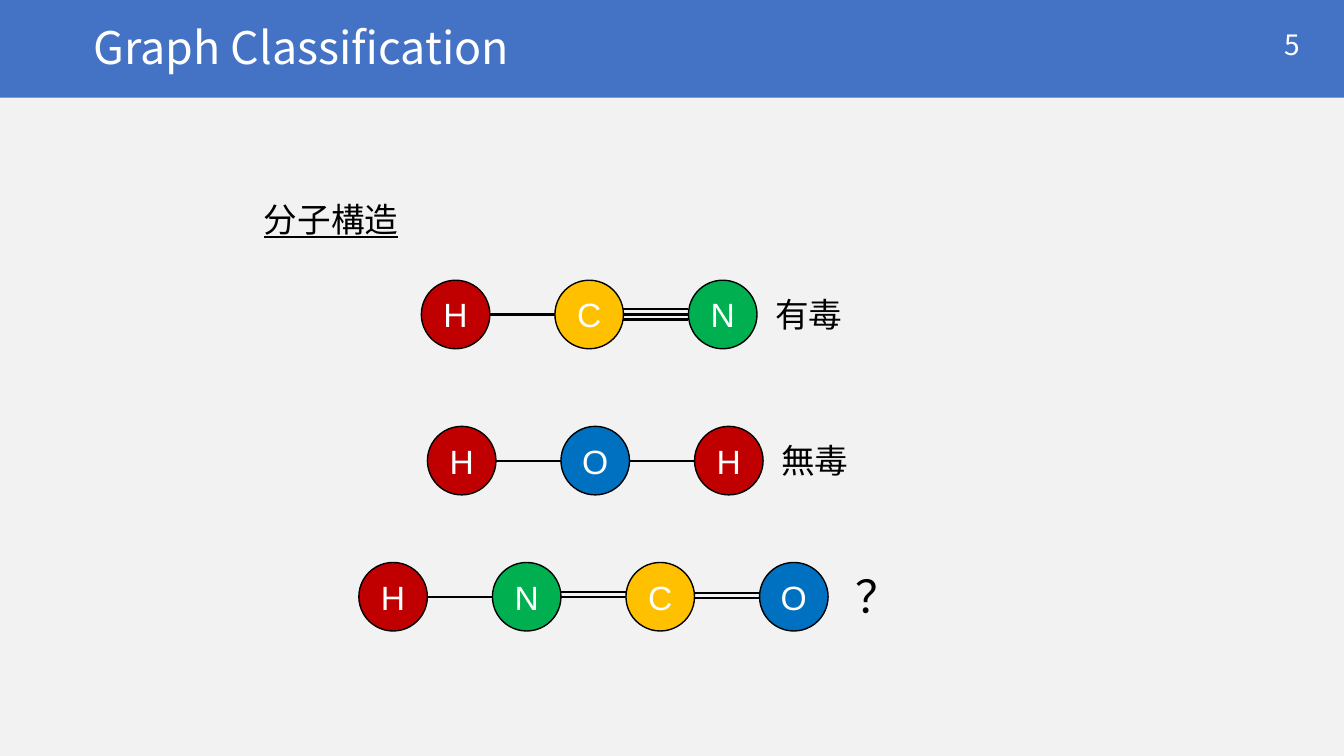
from lxml import etree
from pptx import Presentation
from pptx import util as u
from pptx.dml.color import RGBColor
from pptx.enum import shapes, text
from pptx.oxml.ns import qn

CELL = u.Inches(0.1)
COLUMNS, ROWS = 133.33, 75
ATOM, PITCH = 6.8, 13.25
GOTHIC = "Noto Sans CJK JP"
COLORS = {
    "page": "F2F2F2", "band": "4472C4", "light": "FFFFFF", "ink": "000000",
    "H": "C00000", "C": "FFC000", "N": "00B050", "O": "0070C0",
}
SINGLE, TRIPLE = (0,), (-0.5, 0, 0.5)
MOLECULES = [
    (41.8, 27.8, "HCN", (SINGLE, TRIPLE)),
    (42.4, 42.3, "HOH", (SINGLE, SINGLE)),
    (35.6, 55.8, "HNCO", (SINGLE, (-0.5, 0), (-0.4, 0.1))),
]
LABELS = [
    (25.2, 19.2, 15.5, 5, "分子構造", 24, "Arial", True),
    (75.9, 28.7, 8.8, 5, "有毒", 24, "Calibri", False),
    (76.5, 43.2, 8.8, 5, "無毒", 24, "Calibri", False),
    (83.9, 55.9, 6.5, 6.4, "？", 32, "Calibri", False),
]


def grid(*cells):
    return [round(cell * CELL) for cell in cells]


def color(name):
    return RGBColor.from_string(COLORS[name])


def add_span(para, words, size, font, ink):
    span = para.add_run()
    span.text = words
    span.font.size = u.Pt(size)
    span.font.name = font
    span.font.color.rgb = color(ink)
    return span


def add_solid(page, kind, area, fill):
    shape = page.shapes.add_shape(kind, *grid(*area))
    shape.shadow.inherit = False
    shape.fill.solid()
    shape.fill.fore_color.rgb = color(fill)
    shape.line.fill.background()
    return shape


def add_label(page, area, words, size, font, ink="ink",
              anchor=text.MSO_ANCHOR.TOP, align=text.PP_ALIGN.LEFT):
    box = page.shapes.add_textbox(*grid(*area))
    box.text_frame.word_wrap = True
    box.text_frame.vertical_anchor = anchor
    para = box.text_frame.paragraphs[0]
    para.alignment = align
    return para, add_span(para, words, size, font, ink)


def add_atom(page, left, top, symbol):
    atom = add_solid(page, shapes.MSO_SHAPE.OVAL, (left, top, ATOM, ATOM), symbol)
    atom.line.color.rgb = color("ink")
    atom.line.width = u.Pt(1)
    atom.text_frame.vertical_anchor = text.MSO_ANCHOR.MIDDLE
    para = atom.text_frame.paragraphs[0]
    para.alignment = text.PP_ALIGN.CENTER
    add_span(para, symbol, 24, "Arial", "light")


def add_bond(page, left, middle, offsets):
    for offset in offsets:
        y = middle + offset
        bond = page.shapes.add_connector(
            shapes.MSO_CONNECTOR.STRAIGHT, *grid(left, y, left + PITCH - ATOM, y))
        bond.line.color.rgb = color("ink")
        bond.line.width = u.Pt(1.5)
        etree.SubElement(bond._element.spPr, qn("a:effectLst"))


def add_molecule(page, left, top, symbols, bonds):
    for place, offsets in enumerate(bonds):
        add_bond(page, left + place * PITCH + ATOM, top + ATOM / 2, offsets)
    for place, symbol in enumerate(symbols):
        add_atom(page, left + place * PITCH, top, symbol)


def add_header(page):
    add_solid(page, shapes.MSO_SHAPE.RECTANGLE, (0, 0, COLUMNS, 9.7), "band")
    middle = text.MSO_ANCHOR.MIDDLE
    title, _ = add_label(page, (8.3, 1.9, 100.2, 6.2), "Graph Classification",
                         32, GOTHIC, "light", middle)
    title.line_spacing = 0.9
    title.space_before = u.Pt(10)
    add_label(page, (113.6, 2.4, 16.4, 4), "5", 20, GOTHIC, "light",
              middle, text.PP_ALIGN.RIGHT)


def main():
    deck = Presentation()
    deck.slide_width, deck.slide_height = grid(COLUMNS, ROWS)
    page = deck.slides.add_slide(deck.slide_layouts[6])
    page.background.fill.solid()
    page.background.fill.fore_color.rgb = color("page")
    add_header(page)
    for molecule in MOLECULES:
        add_molecule(page, *molecule)
    for *area, words, size, font, underlined in LABELS:
        _, span = add_label(page, area, words, size, font)
        span.font.underline = underlined
    deck.save("out.pptx")


if __name__ == "__main__":
    main()
